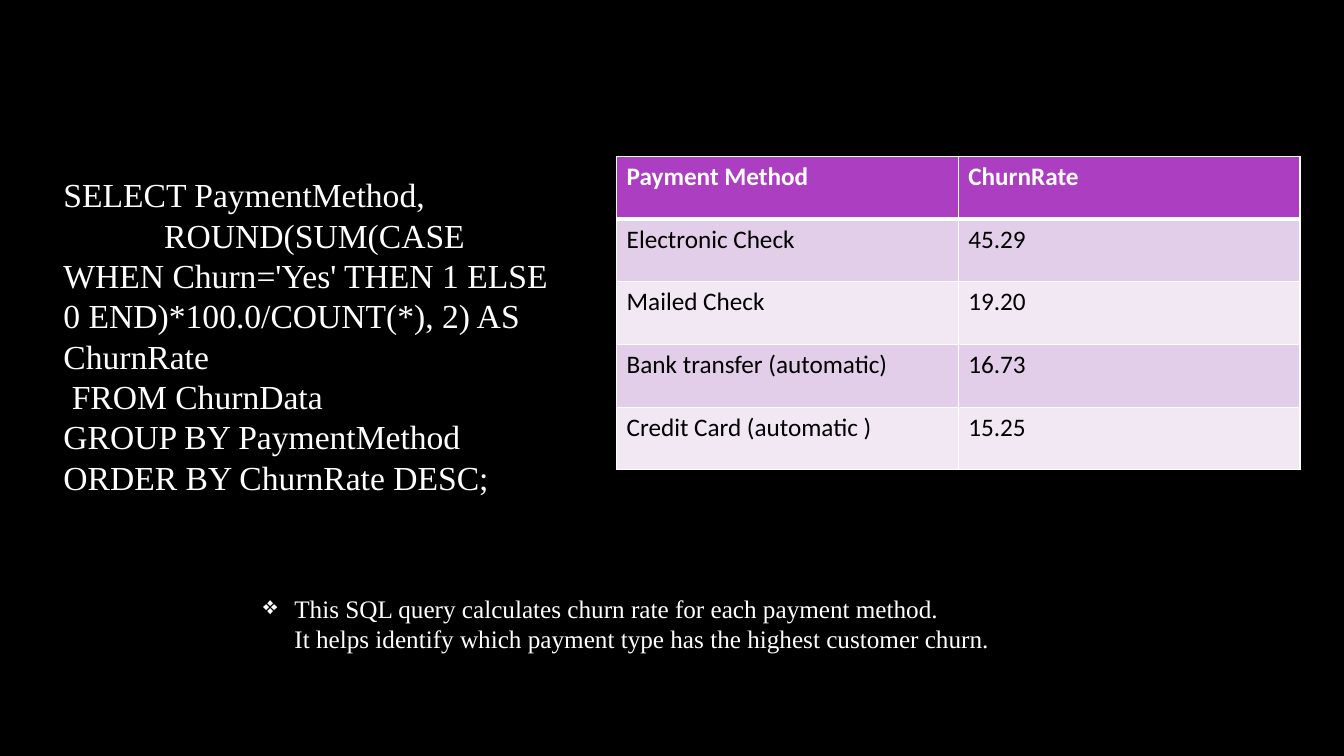
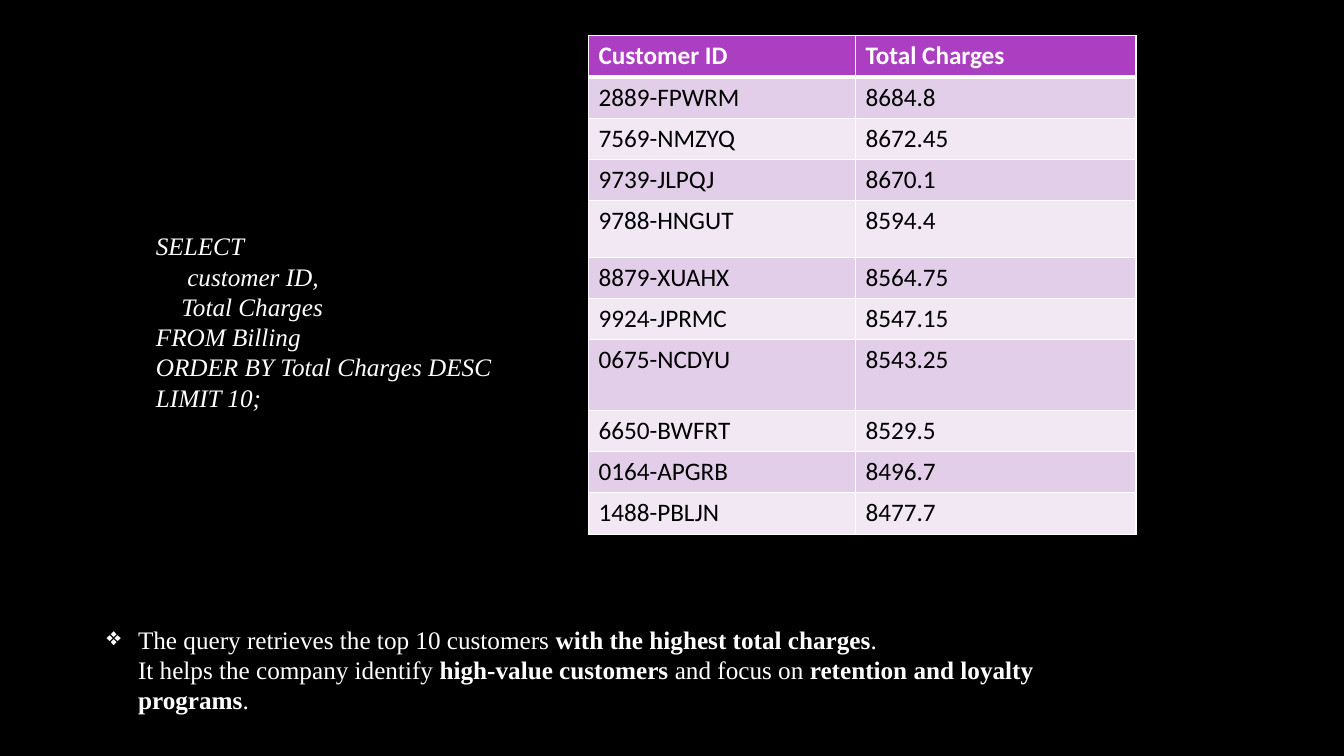
from lxml import etree
from pptx import Presentation
from pptx import util as u
from pptx.dml.color import RGBColor
from pptx.enum import text
from pptx.oxml.ns import qn

BLACK = RGBColor(0x00, 0x00, 0x00)
WHITE = RGBColor(0xFF, 0xFF, 0xFF)
PURPLE = RGBColor(0xAC, 0x3E, 0xC1)
BANDS = RGBColor(0xF1, 0xE8, 0xF4), RGBColor(0xE3, 0xCE, 0xE9)
SERIF = "Times New Roman"
SANS = "Calibri"


class Deck:
    """Holds the shared style and the current slide."""

    def __init__(self):
        self.prs = Presentation()
        self.prs.slide_width = u.Cm(33.87)
        self.prs.slide_height = u.Cm(19.05)
        self.slide = None

    def page(self):
        self.slide = self.prs.slides.add_slide(self.prs.slide_layouts[6])
        fill = self.slide.background.fill
        fill.solid()
        fill.fore_color.rgb = BLACK

    def run(self, para, words, face, size, color, bold=False, italic=False):
        run = para.add_run()
        run.text = words
        font = run.font
        font.name, font.size = face, u.Pt(size)
        font.bold, font.italic = bold, italic
        font.color.rgb = color

    def frame(self, left, top, width, height):
        box = self.slide.shapes.add_textbox(
            u.Cm(left), u.Cm(top), u.Cm(width), u.Cm(height))
        frame = box.text_frame
        frame.word_wrap = True
        frame.auto_size = text.MSO_AUTO_SIZE.SHAPE_TO_FIT_TEXT
        return frame

    def indent(self, para, margin, first):
        props = para._p.get_or_add_pPr()
        props.set("marL", str(u.Cm(margin)))
        props.set("indent", str(u.Cm(first)))
        return props

    def query(self, place, lines, size, italic=False):
        frame = self.frame(*place)
        for row, (inset, words) in enumerate(lines):
            para = frame.add_paragraph() if row else frame.paragraphs[0]
            self.indent(para, 0, inset)
            self.run(para, words, SERIF, size, WHITE, italic=italic)

    def note(self, place, lines):
        para = self.frame(*place).paragraphs[0]
        props = self.indent(para, 0.79, -0.79)
        etree.SubElement(props, qn("a:buChar")).set("char", "❖")
        for row, line in enumerate(lines):
            if row:
                para.add_line_break()
            for part, words in enumerate(line.split("**")):
                self.run(para, words, SERIF, 18, WHITE, bold=part % 2 == 1)

    def edge(self, cell, side, width):
        props = cell._tc.get_or_add_tcPr()
        line = etree.SubElement(props, qn("a:ln" + side))
        line.set("w", str(u.Pt(width)))
        fill = etree.SubElement(line, qn("a:solidFill"))
        etree.SubElement(fill, qn("a:srgbClr")).set("val", str(WHITE))

    def cell(self, cell, words, row):
        head = row == 0
        thick = {0: "B", 1: "T"}.get(row)
        for side in "LRTB":
            self.edge(cell, side, 3 if side == thick else 1)
        cell.fill.solid()
        cell.fill.fore_color.rgb = PURPLE if head else BANDS[row % 2]
        para = cell.text_frame.paragraphs[0]
        self.run(para, words, SANS, 18, WHITE if head else BLACK, bold=head)

    def table(self, left, top, widths, high, data, tall=None):
        highs = [(tall or {}).get(row, high) for row in range(len(data))]
        table = self.slide.shapes.add_table(
            len(data), len(widths), u.Cm(left), u.Cm(top),
            u.Cm(sum(widths)), u.Cm(sum(highs))).table
        for col, width in zip(table.columns, widths):
            col.width = u.Cm(width)
        for row, values in enumerate(data):
            table.rows[row].height = u.Cm(highs[row])
            for col, words in enumerate(values):
                self.cell(table.cell(row, col), words, row)


def churn(deck):
    """Builds the churn rate slide."""
    deck.page()
    deck.query((1.35, 4.27, 13.16, 8.46), [
        (0, "SELECT PaymentMethod,"),
        (2.54, "ROUND(SUM(CASE WHEN Churn='Yes' THEN 1 ELSE 0 END)"
               "*100.0/COUNT(*), 2) AS ChurnRate"),
        (0.21, "FROM ChurnData"),
        (0, "GROUP BY PaymentMethod"),
        (0, "ORDER BY ChurnRate DESC;"),
    ], 24)
    deck.table(15.54, 3.94, (8.61, 8.61), 1.58, [
        ("Payment Method", "ChurnRate"),
        ("Electronic Check", "45.29"),
        ("Mailed Check", "19.20"),
        ("Bank transfer (automatic)", "16.73"),
        ("Credit Card (automatic )", "15.25"),
    ])
    deck.note((6.38, 14.83, 21.77, 2.57), [
        "This SQL query calculates churn rate for each payment method.",
        "It helps identify which payment type has the highest customer churn.",
    ])


def charges(deck):
    """Builds the total charges slide."""
    deck.page()
    deck.table(14.83, 0.9, (6.73, 7.07), 1.04, [
        ("Customer ID", "Total Charges"),
        ("2889-FPWRM", "8684.8"),
        ("7569-NMZYQ", "8672.45"),
        ("9739-JLPQJ", "8670.1"),
        ("9788-HNGUT", "8594.4"),
        ("8879-XUAHX", "8564.75"),
        ("9924-JPRMC", "8547.15"),
        ("0675-NCDYU", "8543.25"),
        ("6650-BWFRT", "8529.5"),
        ("0164-APGRB", "8496.7"),
        ("1488-PBLJN", "8477.7"),
    ], tall={4: 1.42, 7: 1.78})
    deck.query((3.68, 5.69, 9.07, 4.88), [
        (0, "SELECT"),
        (0.79, "customer ID,"),
        (0.64, "Total Charges"),
        (0, "FROM Billing"),
        (0, "ORDER BY Total Charges DESC"),
        (0, "LIMIT 10;"),
    ], 18, italic=True)
    deck.note((2.44, 15.6, 25.81, 2.57), [
        "The query retrieves the top 10 customers"
        "** with the highest total charges**.",
        "It helps the company identify **high-value customers** and focus on "
        "**retention and loyalty programs**.",
    ])


def main():
    """Builds and saves the deck."""
    deck = Deck()
    churn(deck)
    charges(deck)
    deck.prs.save("out.pptx")


if __name__ == "__main__":
    main()
